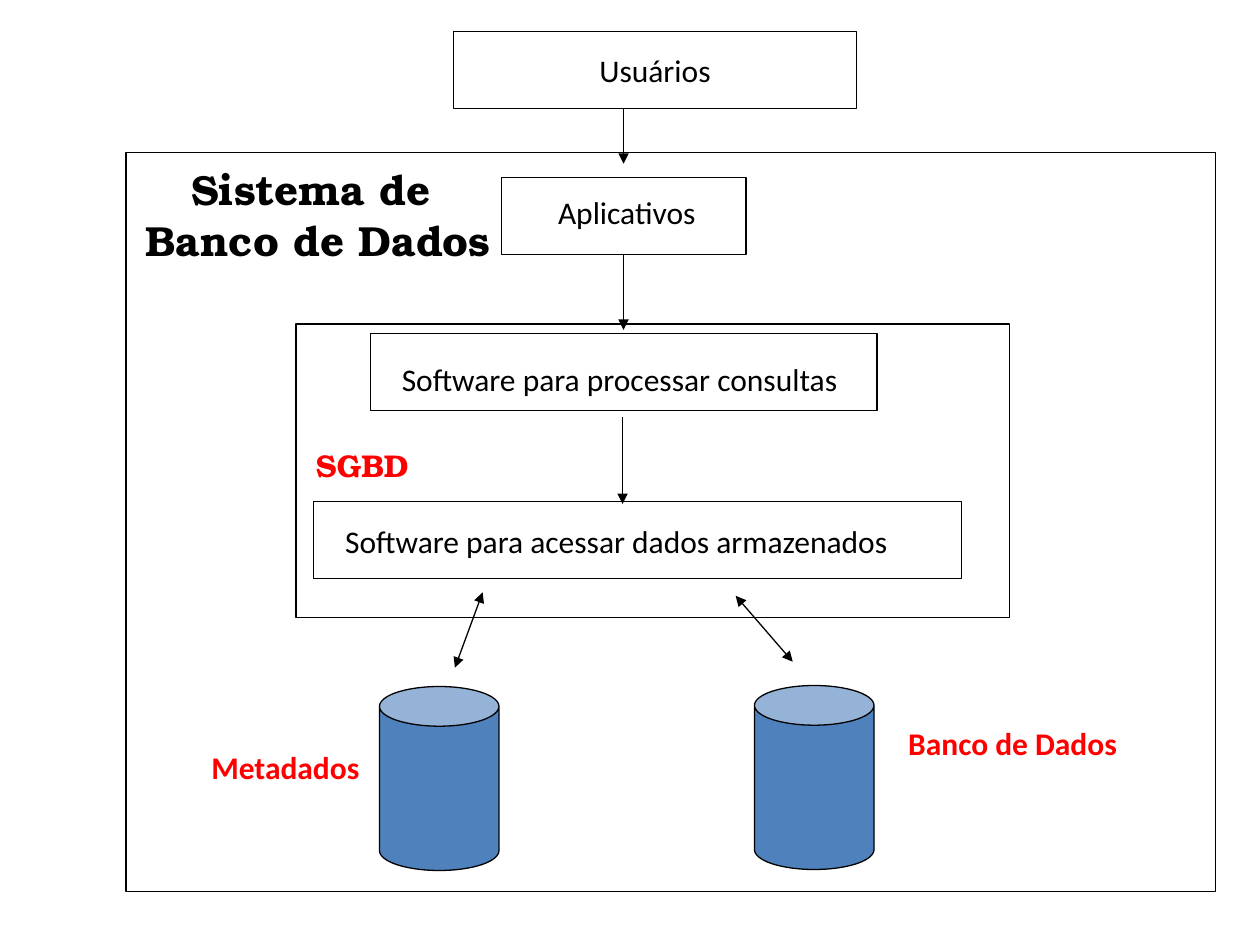
from lxml import etree
from pptx import Presentation
from pptx.dml.color import RGBColor
from pptx.enum.shapes import MSO_CONNECTOR, MSO_SHAPE
from pptx.enum.text import MSO_ANCHOR, MSO_AUTO_SIZE, PP_ALIGN
from pptx.oxml.ns import qn
from pptx.util import Cm, Pt

RECTANGLE, CAN = MSO_SHAPE.RECTANGLE, MSO_SHAPE.CAN
STRAIGHT = MSO_CONNECTOR.STRAIGHT
LEFT, CENTER = PP_ALIGN.LEFT, PP_ALIGN.CENTER
MIDDLE = MSO_ANCHOR.MIDDLE
FIT_SHAPE = MSO_AUTO_SIZE.SHAPE_TO_FIT_TEXT

COLORS = {"black": "000000", "red": "FF0000", "blue": "4F81BD"}
SANS, SERIF = "Calibri", "TeX Gyre Bonum"
BOX_HEIGHT = 1.55

deck = Presentation()
deck.slide_width, deck.slide_height = Cm(25.4), Cm(19.05)
page = deck.slides.add_slide(deck.slide_layouts[6])


def add_outlined(kind, left, top, width, height, fill=None):
    """Add a shape with a thin black outline and an optional fill."""
    shape = page.shapes.add_shape(kind, Cm(left), Cm(top), Cm(width), Cm(height))
    shape.shadow.inherit = False
    if fill:
        shape.fill.solid()
        shape.fill.fore_color.rgb = RGBColor.from_string(COLORS[fill])
    else:
        shape.fill.background()
    shape.line.color.rgb = RGBColor.from_string(COLORS["black"])
    shape.line.width = Pt(0.75)
    return shape


def write(frame, lines, font=SANS, size=18, color="black", bold=False, align=LEFT):
    """Fill a text frame with one paragraph per line."""
    for number, line in enumerate(lines):
        para = frame.add_paragraph() if number else frame.paragraphs[0]
        para.text = line
        para.alignment = align
        para.font.name = font
        para.font.size = Pt(size)
        para.font.bold = bold
        para.font.color.rgb = RGBColor.from_string(COLORS[color])


# Frames and boxes, from back to front
frames = [
    (2.54, 3.07, 21.97, 14.91),            # database system
    (5.97, 6.53, 14.38, 5.92),             # SGBD
    (6.32, 10.11, 13.06, BOX_HEIGHT),      # data access
    (7.47, 6.73, 10.21, BOX_HEIGHT),       # query processing
    (10.11, 3.58, 4.93, BOX_HEIGHT),       # applications
]
for frame_place in frames:
    add_outlined(RECTANGLE, *frame_place)

users = add_outlined(RECTANGLE, 9.14, 0.64, 8.13, BOX_HEIGHT)
users.text_frame.word_wrap = False
users.text_frame.vertical_anchor = MIDDLE
write(users.text_frame, ["Usuários"], align=CENTER)

# Data stores
for left, top in [(7.65, 13.84), (15.21, 13.82)]:
    store = add_outlined(CAN, left, top, 2.41, 3.71, "blue")
    store.adjustments[0] = 0.332

# Labels: place, wrapping, lines, style
heading = {"font": SERIF, "size": 24, "bold": True, "align": CENTER}
red_bold = {"color": "red", "bold": True}
labels = [
    ((2.36, 3.18, 7.82, 2.31), False, ["Sistema de", " Banco de Dados"], heading),
    ((6.12, 8.86, 2.39, 1.02), False, ["SGBD"], {"font": SERIF, **red_bold}),
    ((6.71, 10.39, 12.7, 1.12), True, ["Software para acessar dados armazenados"], {}),
    ((7.85, 7.14, 9.58, 1.12), False, ["Software para processar consultas"], {}),
    ((11, 3.76, 3.4, 1.02), False, ["Aplicativos"], {}),
    ((4.01, 14.96, 3.53, 1.02), False, ["Metadados"], red_bold),
    ((18.06, 14.48, 5.69, 1.02), True, ["Banco de Dados"], red_bold),
]
for place, wrap, lines, style in labels:
    label = page.shapes.add_textbox(*map(Cm, place))
    label.text_frame.word_wrap = wrap
    label.text_frame.auto_size = FIT_SHAPE
    write(label.text_frame, lines, **style)

# Arrows: start, end, arrowheads
one_way, two_way = ["tailEnd"], ["headEnd", "tailEnd"]
arrows = [
    ((12.57, 2.18), (12.57, 3.3), one_way),
    ((12.57, 5.13), (12.57, 6.65), one_way),
    ((12.55, 8.41), (12.55, 10.16), one_way),
    ((9.17, 13.46), (9.73, 11.94), two_way),
    ((15.98, 13.34), (14.83, 12.01), two_way),
]
for start, end, heads in arrows:
    arrow = page.shapes.add_connector(STRAIGHT, *map(Cm, start + end))
    arrow.line.color.rgb = RGBColor.from_string(COLORS["black"])
    arrow.line.width = Pt(0.75)
    outline = arrow.line._get_or_add_ln()
    for head in heads:
        etree.SubElement(outline, qn(f"a:{head}"), type="triangle")
    etree.SubElement(arrow._element.spPr, qn("a:effectLst"))

deck.save("out.pptx")
